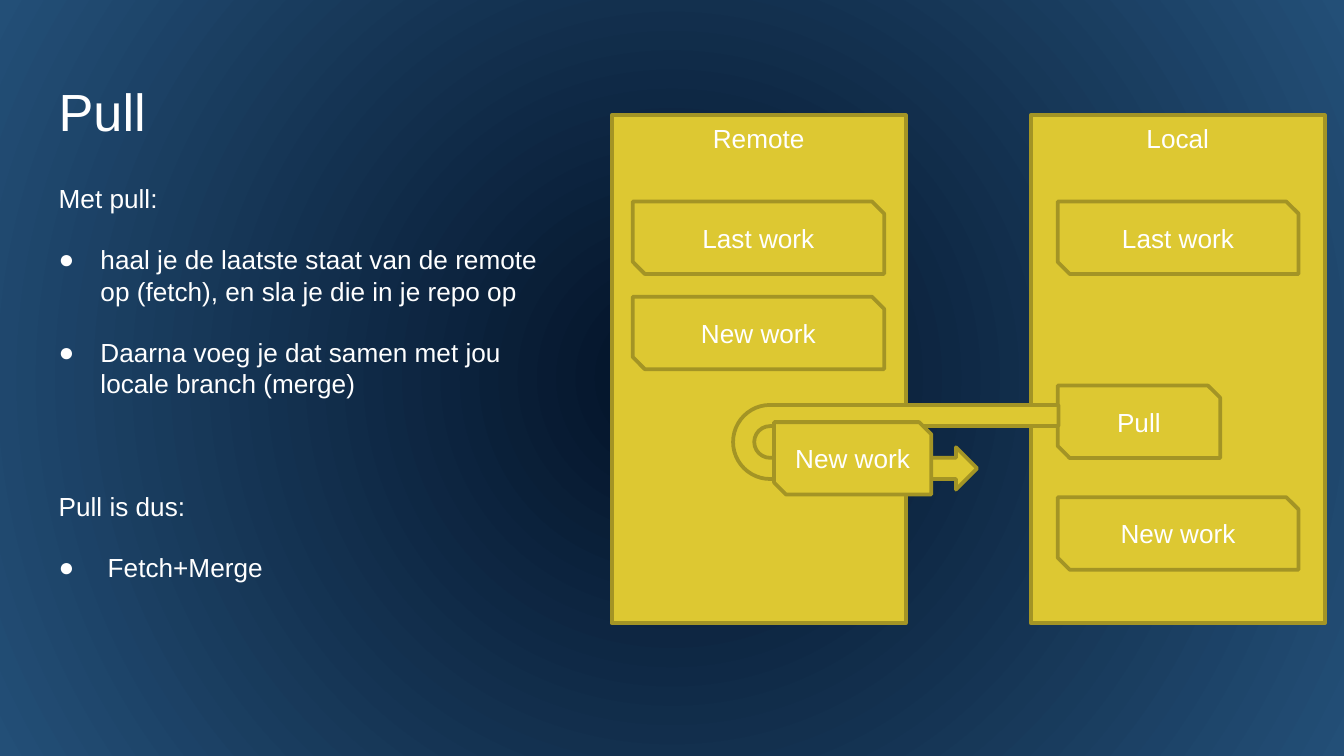
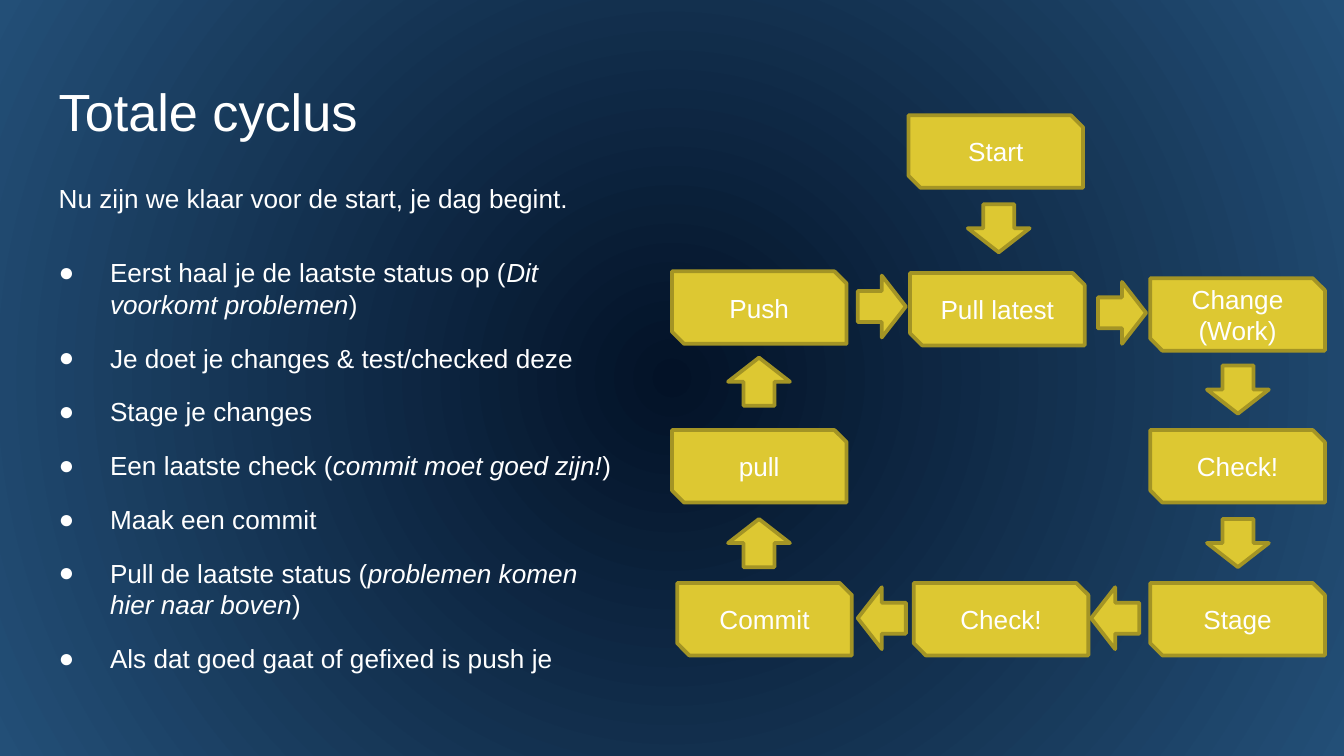
import dataclasses

import lxml.etree
import pptx
import pptx.dml.color
import pptx.enum.shapes
import pptx.enum.text
import pptx.oxml.ns
import pptx.util
from pptx.util import Cm

SHAPE = pptx.enum.shapes.MSO_SHAPE
ALIGN = pptx.enum.text.PP_ALIGN
ANCHOR = pptx.enum.text.MSO_ANCHOR
qn = pptx.oxml.ns.qn

PULL = {
    "title": "Pull",
    "body_width": 10.16,
    "indent": 0.79,
    "paragraphs": [
        {"runs": ["Met pull:"], "after": 16},
        {"runs": ["haal je de laatste staat van de remote op (fetch), en sla je die in je repo op"],
         "bullet": True, "after": 16},
        {"runs": ["Daarna voeg je dat samen met jou locale branch (merge)"],
         "bullet": True, "after": 49},
        {"runs": ["Pull is dus:"], "after": 16},
        {"runs": [" Fetch+Merge"], "bullet": True, "after": 16},
    ],
}
REPOSITORIES = [("Local", 19.48), ("Remote", 11.56)]
STORED_WORK = [
    ("Pull", 19.99, 7.29, 3.07),
    ("New work", 11.96, 5.61, 4.75),
    ("Last work", 19.99, 3.81, 4.55),
    ("Last work", 11.96, 3.81, 4.75),
    ("New work", 19.99, 9.4, 4.55),
]
FETCHED_WORK = ("New work", 14.63, 7.98, 2.97)
FETCH_TURN = (16.13, 5.38, 1.6, 6.15)

STEPS = [
    ("Eerst haal je de laatste status op (", "Dit voorkomt problemen", ")"),
    ("Je doet je changes & test/checked deze",),
    ("Stage je changes",),
    ("Een laatste check (", "commit moet goed zijn!", ")"),
    ("Maak een commit",),
    ("Pull de laatste status (", "problemen komen hier naar boven", ")"),
    ("Als dat goed gaat of gefixed is push je",),
]
CYCLE = {
    "title": "Totale cyclus",
    "body_width": 11.1,
    "indent": 0.97,
    "paragraphs": [
        {"runs": ["Nu zijn we klaar voor de start, je dag begint."], "after": 17},
        *({"runs": step, "bullet": True, "before": 6, "after": 6} for step in STEPS),
    ],
}
STAGE_WIDTH = 3.3
STAGES = [
    ("Start", 17.17, 2.18),
    ("Pull latest", 17.2, 5.16),
    ("Change (Work)", 21.74, 5.26),
    ("Check!", 21.74, 8.13),
    ("Stage", 21.74, 11.02),
    ("Check!", 17.27, 11.02),
    ("Commit", 12.8, 11.02),
    ("pull", 12.7, 8.13),
    ("Push", 12.7, 5.13),
]
RIGHT, DOWN, LEFT, UP = 0, 90, 180, 270
STAGE_ARROWS = [
    (18.42, 3.73, DOWN),
    (20.75, 5.33, RIGHT),
    (22.94, 6.78, DOWN),
    (22.94, 9.68, DOWN),
    (20.62, 11.1, LEFT),
    (16.21, 11.1, LEFT),
    (13.89, 9.68, UP),
    (13.89, 6.63, UP),
    (16.21, 5.21, RIGHT),
]


def rgb(value):
    return pptx.dml.color.RGBColor.from_string(value)


@dataclasses.dataclass(frozen=True)
class Theme:
    center: str = "031227"
    edge: str = "234F77"
    fill: str = "DDC832"
    outline: str = "A39425"
    text: str = "FFFFFF"
    font: str = "Arial"
    title_size: int = 28
    text_size: int = 14
    outline_width: int = 2
    box_height: float = 1.37


THEME = Theme()


def style_run(run, size, italic=False):
    run.font.name = THEME.font
    run.font.size = pptx.util.Pt(size)
    run.font.color.rgb = rgb(THEME.text)
    if italic:
        run.font.italic = True


def paint_background(slide):
    fill = slide.background.fill
    fill.gradient()
    for stop, color, position in zip(fill.gradient_stops, (THEME.center, THEME.edge), (0, 1)):
        stop.color.rgb = rgb(color)
        stop.position = position
    gradient = next(slide.element.iter(qn("a:gradFill")))
    direction = gradient.find(qn("a:lin"))
    circle = lxml.etree.Element(qn("a:path"), path="circle")
    lxml.etree.SubElement(circle, qn("a:fillToRect"), l="50000", t="50000", r="50000", b="50000")
    gradient.replace(direction, circle)


def add_frame(slide, left, top, width, height):
    frame = slide.shapes.add_textbox(Cm(left), Cm(top), Cm(width), Cm(height)).text_frame
    frame.word_wrap = True
    frame.margin_left = frame.margin_right = Cm(0.25)
    frame.margin_top = frame.margin_bottom = Cm(0.25)
    return frame


def add_bullet(paragraph, indent):
    properties = paragraph._p.get_or_add_pPr()
    properties.set("marL", str(Cm(indent)))
    properties.set("indent", str(-Cm(indent)))
    color = lxml.etree.SubElement(properties, qn("a:buClr"))
    lxml.etree.SubElement(color, qn("a:srgbClr"), val=THEME.text)
    lxml.etree.SubElement(properties, qn("a:buFont"), typeface=THEME.font)
    lxml.etree.SubElement(properties, qn("a:buChar"), char="●")


def add_text(slide, content):
    title = add_frame(slide, 0.86, 1.24, 23.67, 1.6)
    title.text = content["title"]
    style_run(title.paragraphs[0].runs[0], THEME.title_size)

    body = add_frame(slide, 0.86, 3.2, content["body_width"], 10.9)
    for index, item in enumerate(content["paragraphs"]):
        paragraph = body.add_paragraph() if index else body.paragraphs[0]
        paragraph.space_before = pptx.util.Pt(item.get("before", 0))
        paragraph.space_after = pptx.util.Pt(item["after"])
        if item.get("bullet"):
            add_bullet(paragraph, content["indent"])
        for position, words in enumerate(item["runs"]):
            run = paragraph.add_run()
            run.text = words
            style_run(run, THEME.text_size, italic=position == 1)


def add_block(shapes, kind, left, top, width, height, label="", anchor=ANCHOR.MIDDLE):
    block = shapes.add_shape(kind, Cm(left), Cm(top), Cm(width), Cm(height))
    block.shadow.inherit = False
    block.fill.solid()
    block.fill.fore_color.rgb = rgb(THEME.fill)
    block.line.color.rgb = rgb(THEME.outline)
    block.line.width = pptx.util.Pt(THEME.outline_width)
    if label:
        frame = block.text_frame
        frame.word_wrap = True
        frame.vertical_anchor = anchor
        frame.text = label
        frame.paragraphs[0].alignment = ALIGN.CENTER
        style_run(frame.paragraphs[0].runs[0], THEME.text_size)
    return block


def add_box(shapes, label, left, top, width):
    add_block(shapes, SHAPE.SNIP_2_DIAG_RECTANGLE, left, top, width, THEME.box_height, label)


def new_slide(deck):
    slide = deck.slides.add_slide(deck.slide_layouts[6])
    paint_background(slide)
    return slide


def build_pull(deck):
    slide = new_slide(deck)
    for label, left in REPOSITORIES:
        add_block(slide.shapes, SHAPE.RECTANGLE, left, 2.18, 5.56, 9.6, label, ANCHOR.TOP)
    add_text(slide, PULL)
    for work in STORED_WORK:
        add_box(slide.shapes, *work)
    turn = add_block(slide.shapes, SHAPE.U_TURN_ARROW, *FETCH_TURN)
    turn.rotation = 270
    next(turn.element.iter(qn("a:xfrm"))).set("flipH", "1")
    add_box(slide.shapes, *FETCHED_WORK)


def build_cycle(deck):
    slide = new_slide(deck)
    add_text(slide, CYCLE)
    diagram = slide.shapes.add_group_shape().shapes
    for label, left, top in STAGES:
        add_box(diagram, label, left, top, STAGE_WIDTH)
    for left, top, direction in STAGE_ARROWS:
        add_block(diagram, SHAPE.RIGHT_ARROW, left, top, 0.91, 1.17).rotation = direction


def main():
    deck = pptx.Presentation()
    deck.slide_width = Cm(25.4)
    deck.slide_height = Cm(14.29)
    build_pull(deck)
    build_cycle(deck)
    deck.save("out.pptx")


if __name__ == "__main__":
    main()
